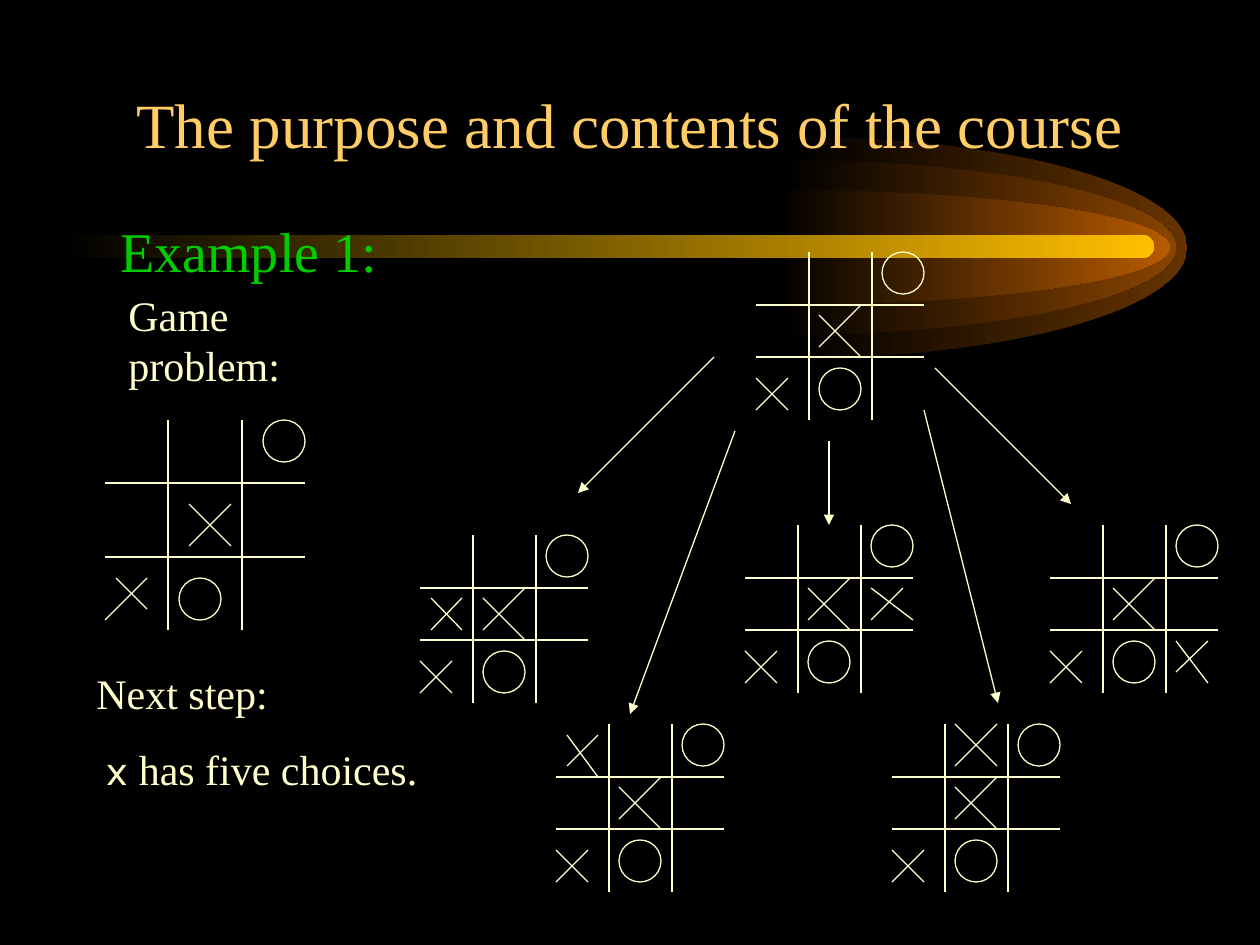
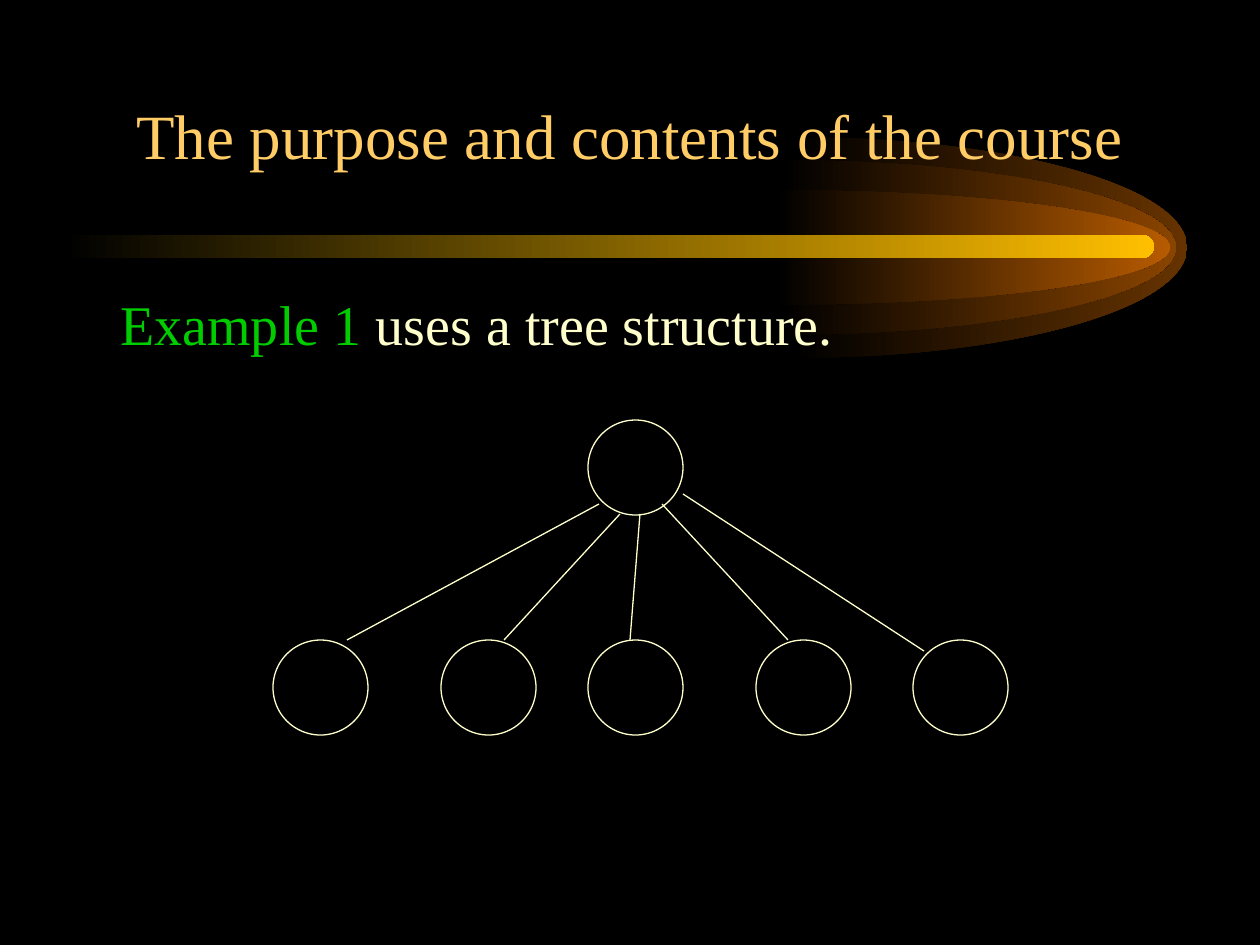
import pptx
import pptx.dml.color
import pptx.enum.shapes
import pptx.enum.text
import pptx.oxml
import pptx.oxml.ns
import pptx.util

PIXEL = 914400 / 126
CURVE = 0.5523
COLORS = {
    "background": "000000",
    "title": "FFCC66",
    "text": "FFFFCC",
    "example": "00CC00",
    "outer flare": "663300",
    "middle flare": "894400",
    "inner flare": "B75B00",
    "bar": "FFBF00",
}
FLARES = [
    ((793, 137, 394, 221), "outer flare"),
    ((782, 160, 394, 175), "middle flare"),
    ((776, 190, 394, 115), "inner flare"),
]
TITLE = "The purpose and contents of the course"
FONT = "Times New Roman"
SMALL_BOARD = {
    "size": (168, 168),
    "columns": (53, 116),
    "rows": (53, 105),
    "noughts": [(126, 0), (63, 116)],
    "strokes": [
        (63, 63, 105, 105), (105, 53, 63, 95),
        (0, 126, 32, 158), (32, 126, 0, 158),
    ],
}
LARGE_BOARD = {
    "size": (200, 210),
    "columns": (63, 137),
    "rows": (63, 137),
    "noughts": [(158, 0), (74, 158)],
    "strokes": [
        (84, 84, 126, 126), (126, 84, 84, 126),
        (11, 158, 42, 189), (42, 158, 0, 200),
    ],
}
CHOICES = [
    ((420, 535), [(11, 63, 42, 95), (42, 63, 11, 95)], (714, 357, 578, 493)),
    ((556, 724), [(11, 11, 42, 53), (42, 11, 11, 42)], (735, 431, 630, 714)),
    ((892, 724), [(63, 0, 105, 42), (105, 0, 63, 42)], (924, 410, 998, 703)),
    ((745, 525), [(126, 63, 168, 95), (158, 63, 126, 95)], (829, 441, 829, 525)),
    ((1050, 525), [(126, 116, 158, 158), (158, 116, 126, 147)], (935, 368, 1071, 504)),
]


def emu(*lengths):
    return [round(length * PIXEL) for length in lengths]


def rgb(color):
    return pptx.dml.color.RGBColor.from_string(COLORS[color])


def element(tag, attributes=""):
    return pptx.oxml.parse_xml(
        f'<a:{tag} {pptx.oxml.ns.nsdecls("a")} {attributes}/>')


def add_text(paragraph, text, size=24, color="text", font=FONT):
    run = paragraph.add_run()
    run.text = text
    run.font.size = pptx.util.Pt(size)
    run.font.name = font
    run.font.color.rgb = rgb(color)


def add_text_box(slide, box, paragraphs, space_before=15):
    frame = slide.shapes.add_textbox(*emu(*box)).text_frame
    frame.word_wrap = True
    for index, runs in enumerate(paragraphs):
        paragraph = frame.add_paragraph() if index else frame.paragraphs[0]
        paragraph.space_before = pptx.util.Pt(space_before)
        for text, style in runs:
            add_text(paragraph, text, **style)


def outline(shape):
    shape.line.color.rgb = rgb("text")
    shape.line.width = pptx.util.Pt(0.74)


def add_circle(shapes, left, top, diameter):
    circle = shapes.add_shape(
        pptx.enum.shapes.MSO_SHAPE.OVAL, *emu(left, top, diameter, diameter))
    circle.shadow.inherit = False
    circle.fill.background()
    outline(circle)


def add_line(shapes, points, arrow=False):
    connector = shapes.add_connector(
        pptx.enum.shapes.MSO_CONNECTOR.STRAIGHT, *emu(*points))
    outline(connector)
    properties = connector.element.spPr
    line = properties.find(pptx.oxml.ns.qn("a:ln"))
    line.append(element("round"))
    if arrow:
        line.append(element("tailEnd", 'type="triangle"'))
    properties.append(element("effectLst"))


def fill_gradient(shape, color):
    shape.shadow.inherit = False
    shape.line.fill.background()
    shape.fill.gradient()
    shape.fill.gradient_angle = 0
    for stop, name in zip(shape.fill.gradient_stops, ("background", color)):
        stop.color.rgb = rgb(name)


def bend_segments(shape, curve_count):
    segments = list(shape.element.iter(pptx.oxml.ns.qn("a:lnTo")))
    for index in range(curve_count):
        controls = segments[3 * index:3 * index + 3]
        curve = element("cubicBezTo")
        controls[0].addprevious(curve)
        for control in controls:
            curve.append(control[0])
            control.getparent().remove(control)


def add_flare(shapes, box, color):
    left, top, width, height = box
    middle, right, bottom = top + height / 2, left + width, top + height
    reach, rise = width * CURVE, height / 2 * CURVE
    points = [
        (left + reach, top), (right, middle - rise), (right, middle),
        (right, middle + rise), (left + reach, bottom), (left, bottom),
        (left, middle),
    ]
    builder = shapes.build_freeform(*emu(left, top))
    builder.add_line_segments([emu(*point) for point in points], close=True)
    shape = builder.convert_to_shape()
    bend_segments(shape, 2)
    fill_gradient(shape, color)
    return shape


def decorate_layout(layout, slide):
    layout.background.fill.solid()
    layout.background.fill.fore_color.rgb = rgb("background")
    comet = [add_flare(slide.shapes, box, color) for box, color in FLARES]
    bar = slide.shapes.add_shape(
        pptx.enum.shapes.MSO_SHAPE.ROUNDED_RECTANGLE, *emu(63, 235, 1091, 23))
    bar.adjustments[0] = 0.5
    fill_gradient(bar, "bar")
    for shape in comet + [bar]:
        layout.shapes.element.append(shape.element)


def set_title(slide, box):
    title = slide.shapes.title
    title.left, title.top, title.width, title.height = emu(*box)
    frame = title.text_frame
    frame.auto_size = pptx.enum.text.MSO_AUTO_SIZE.NONE
    frame.vertical_anchor = pptx.enum.text.MSO_ANCHOR.BOTTOM
    frame.paragraphs[0].alignment = pptx.enum.text.PP_ALIGN.CENTER
    add_text(frame.paragraphs[0], TITLE, size=36, color="title")


def draw_board(slide, origin, board, move=(), arrow=None):
    left, top = origin
    width, height = board["size"]
    shapes = slide.shapes.add_group_shape().shapes
    lines = [(0, row, width, row) for row in board["rows"]]
    lines += [(column, 0, column, height) for column in board["columns"]]
    lines += board["strokes"] + list(move)
    for x1, y1, x2, y2 in lines:
        add_line(shapes, (left + x1, top + y1, left + x2, top + y2))
    for x, y in board["noughts"]:
        add_circle(shapes, left + x, top + y, 42)
    if arrow:
        add_line(shapes, arrow, arrow=True)


def draw_tree(slide, origin):
    left, top = origin
    shapes = slide.shapes.add_group_shape().shapes
    nodes = [(315, 0)] + [(x, 220) for x in (0, 168, 315, 483, 640)]
    edges = [
        (326, 84, 74, 220), (347, 94, 231, 220), (367, 94, 357, 220),
        (389, 84, 515, 220), (410, 74, 651, 231),
    ]
    for x, y in nodes:
        add_circle(shapes, left + x, top + y, 95)
    for x1, y1, x2, y2 in edges:
        add_line(shapes, (left + x1, top + y1, left + x2, top + y2))


def build_game_slide(slide):
    set_title(slide, (94, 10, 1071, 157))
    add_text_box(slide, (94, 210, 1071, 567), [
        [(" ", {"size": 32}), ("Example 1:", {"size": 32, "color": "example"})],
    ], space_before=8)
    draw_board(slide, (105, 420), LARGE_BOARD)
    draw_board(slide, (756, 252), SMALL_BOARD)
    for origin, move, arrow in CHOICES:
        draw_board(slide, origin, SMALL_BOARD, move, arrow)
    add_text_box(slide, (84, 661, 368, 140), [
        [("Next step:", {})],
        [(" ", {}), ("x", {"font": "Karla"}), (" has five choices.", {})],
    ])
    add_text_box(slide, (116, 283, 210, 113), [[("Game problem:", {})]])


def build_tree_slide(slide):
    set_title(slide, (94, 21, 1071, 157))
    add_text_box(slide, (94, 283, 1071, 567), [[
        (" ", {"size": 32}),
        ("Example 1", {"size": 32, "color": "example"}),
        (" uses a tree structure.", {"size": 32}),
    ]], space_before=8)
    draw_tree(slide, (273, 420))


presentation = pptx.Presentation()
presentation.slide_width, presentation.slide_height = emu(1260, 945)
title_only = presentation.slide_layouts[5]
game_slide = presentation.slides.add_slide(title_only)
tree_slide = presentation.slides.add_slide(title_only)
decorate_layout(title_only, game_slide)
build_game_slide(game_slide)
build_tree_slide(tree_slide)
presentation.save("out.pptx")
